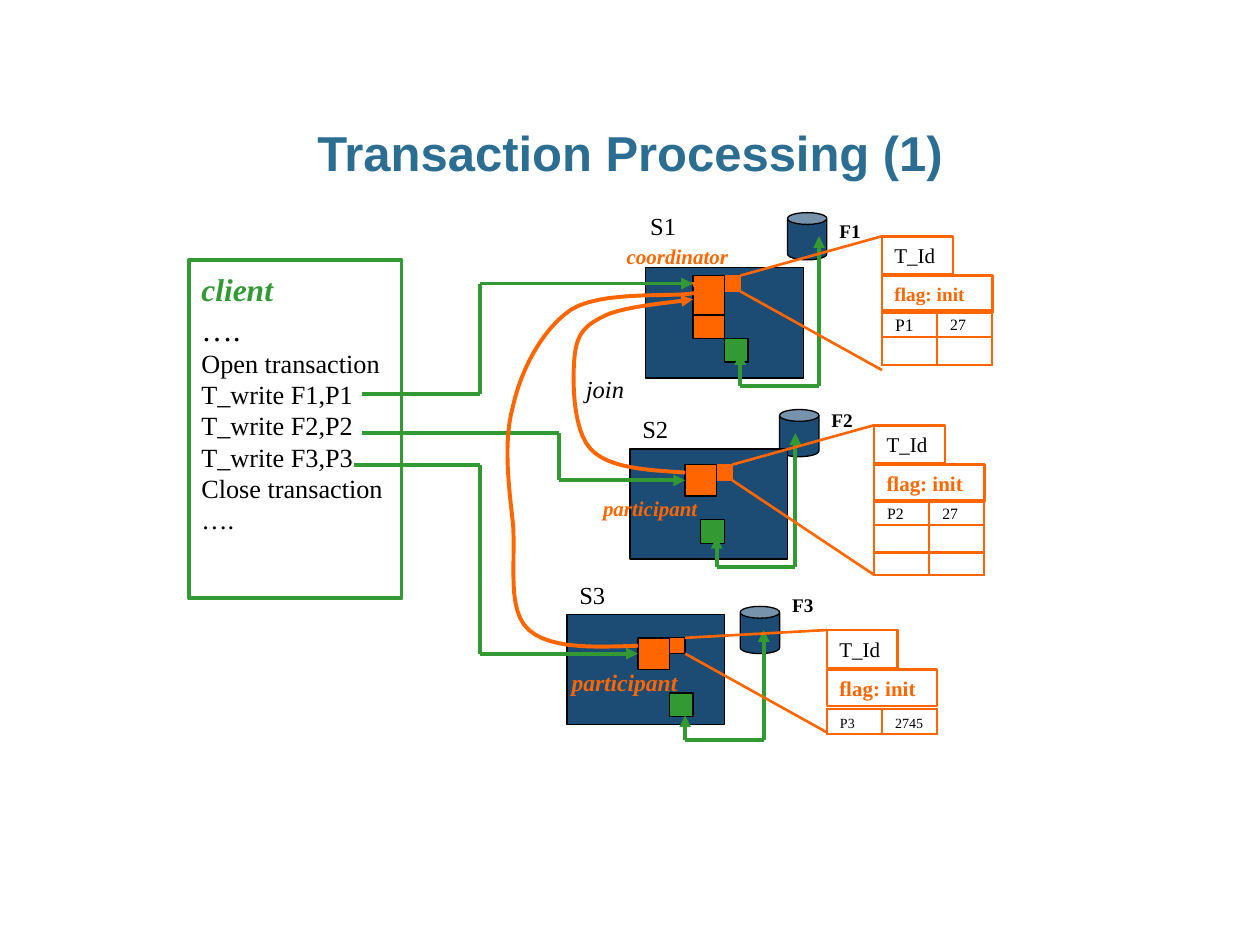
from dataclasses import dataclass

import lxml.etree
import pptx
import pptx.dml.color
import pptx.enum.shapes
import pptx.enum.text
import pptx.oxml.ns
import pptx.util

EMU_PER_PX = 9525
ORANGE, GREEN, NAVY, BLACK = "FF6600", "339933", "1C4C74", "000000"
SHAPES = pptx.enum.shapes.MSO_SHAPE
ANCHORS = pptx.enum.text.MSO_ANCHOR
ALIGNS = pptx.enum.text.PP_ALIGN


@dataclass
class Server:
    name: str
    file: str
    role: str
    box: tuple
    name_at: tuple
    role_at: tuple
    role_size: float
    disk_at: tuple
    file_drop: int
    task: tuple
    store_at: tuple
    link_drop: int
    request: list
    record_at: tuple
    zoom_drop: int
    flag_size: int
    grid_drop: int
    row_heights: list
    values: list


SERVERS = [
    Server("S1", "F1", "coordinator", (492, 204, 120, 84), (-6, -48), (-24, -23), 12,
           (108, -42), 0, (36, 6, 24, 30), (60, 54), 11,
           [(276, 300), (366, 300), (366, 216), (528, 216)],
           (180, -24), 102, 11, 56, [21, 21], [("P1", 10), ("27", 9)]),
    Server("S2", "F2", "participant", (480, 342, 120, 84), (0, -31), (-30, 31), 12,
           (114, -30), -6, (42, 12, 24, 24), (54, 54), 13,
           [(276, 330), (426, 330), (426, 366), (522, 366)],
           (186, -18), 114, 12, 57, [19, 21, 17], [("P2", 9), ("27", 9)]),
    Server("S3", "F3", "participant", (432, 468, 120, 84), (0, -31), (-6, 36), 13.5,
           (132, -6), -15, (54, 18, 24, 24), (78, 60), 17,
           [(270, 354), (366, 354), (366, 498), (486, 498)],
           (198, 12), 78, 12, 60, [19], [("P3", 8), ("2745", 8)]),
]

JOIN_CURVES = [
    [(522, 360), (493, 358), (464, 357), (450, 342), (436, 327), (436, 287), (438, 270),
     (440, 253), (447, 247), (462, 240), (477, 233), (517, 230), (528, 228)],
    [(486, 492), (456, 493), (420, 495), (403, 480), (386, 465), (393, 429), (391, 400),
     (388, 372), (383, 337), (391, 309), (397, 282), (413, 251), (435, 236),
     (457, 222), (508, 226), (524, 224), (540, 222), (536, 223), (531, 224)],
]


def px(length):
    return pptx.util.Emu(round(length * EMU_PER_PX))


def color(value):
    return pptx.dml.color.RGBColor.from_string(value)


def element(parent, tag, **attributes):
    return lxml.etree.SubElement(parent, pptx.oxml.ns.qn(tag), **attributes)


def shifted(origin, offset):
    return origin[0] + offset[0], origin[1] + offset[1]


def write(frame, text, size=12, fill=BLACK, bold=False, italic=False,
          font="Times New Roman", align=ALIGNS.LEFT, spacing=None, before=None):
    para = frame.paragraphs[0]
    if para.runs:
        para = frame.add_paragraph()
    para.alignment = align
    para.line_spacing = spacing
    if before:
        para.space_before = pptx.util.Pt(before)
    span = para.add_run()
    span.text = text
    span.font.name, span.font.size = font, pptx.util.Pt(size)
    span.font.bold, span.font.italic = bold, italic
    span.font.color.rgb = color(fill)


def add_label(page, box, text, wrap=True, **style):
    frame = page.shapes.add_textbox(*map(px, box)).text_frame
    frame.word_wrap = wrap
    write(frame, text, **style)
    return frame


def add_block(page, box, fill=None, line=BLACK, width=0.75, kind=SHAPES.RECTANGLE):
    block = page.shapes.add_shape(kind, *map(px, box))
    block.shadow.inherit = False
    if fill:
        block.fill.solid()
        block.fill.fore_color.rgb = color(fill)
    else:
        block.fill.background()
    block.line.color.rgb = color(line)
    block.line.width = pptx.util.Pt(width)
    return block


def add_route(page, points, line, width, head=False, tail=False):
    parts = []
    for start, end in zip(points, points[1:]):
        part = page.shapes.add_connector(
            pptx.enum.shapes.MSO_CONNECTOR.STRAIGHT, *map(px, start + end))
        part.line.color.rgb = color(line)
        part.line.width = pptx.util.Pt(width)
        element(part._element.spPr, "a:effectLst")
        parts.append(part)
    if head:
        element(parts[0].line._get_or_add_ln(), "a:headEnd", type="triangle")
    if tail:
        element(parts[-1].line._get_or_add_ln(), "a:tailEnd", type="triangle")
    return parts


def add_curve(page, points, steps=12):
    start, *rest = points
    builder = page.shapes.build_freeform(*map(px, start), scale=1.0)
    vertices = []
    for first in range(0, len(rest), 3):
        corners = [start, *rest[first:first + 3]]
        for step in range(1, steps + 1):
            t = step / steps
            weights = ((1 - t) ** 3, 3 * t * (1 - t) ** 2, 3 * t * t * (1 - t), t ** 3)
            vertices.append(tuple(
                px(sum(w * c[axis] for w, c in zip(weights, corners))) for axis in (0, 1)))
        start = corners[-1]
    builder.add_line_segments(vertices, close=False)
    curve = builder.convert_to_shape()
    curve.shadow.inherit = False
    curve.fill.background()
    curve.line.color.rgb = color(ORANGE)
    curve.line.width = pptx.util.Pt(2.25)
    element(curve.line._get_or_add_ln(), "a:tailEnd", type="triangle")


def style_cell(cell):
    properties = cell._tc.get_or_add_tcPr()
    for side in ("a:lnL", "a:lnR", "a:lnT", "a:lnB"):
        border = element(properties, side, w=str(pptx.util.Pt(1.5)))
        element(element(border, "a:solidFill"), "a:srgbClr", val=ORANGE)
    cell.fill.background()
    cell.margin_left, cell.margin_right = px(10), px(2)
    cell.margin_top, cell.margin_bottom = px(3), 0
    cell.vertical_anchor = ANCHORS.MIDDLE


def add_record(page, origin, server):
    left, top = origin
    identifier = add_block(page, (left, top, 54, 29), line=ORANGE, width=1.5)
    write(identifier.text_frame, "T_Id")
    flag = add_block(page, (left, top + 30, 84, 28), line=ORANGE, width=1.5)
    write(flag.text_frame, "flag: init", size=server.flag_size, fill=ORANGE, bold=True)
    heights = server.row_heights
    grid = page.shapes.add_table(
        len(heights), 2, *map(px, (left, top + server.grid_drop, 84, sum(heights)))).table
    grid.first_row = grid.horz_banding = False
    for row, height in zip(grid.rows, heights):
        row.height = px(height)
        for cell in row.cells:
            style_cell(cell)
    for cell, (text, size) in zip(grid.rows[0].cells, server.values):
        write(cell.text_frame, text, size=size)
    for row in list(grid.rows)[1:]:
        for cell in row.cells:
            element(cell.text_frame.paragraphs[0]._p, "a:endParaRPr", sz="800")


def add_server(page, server):
    origin = server.box[:2]
    disk = shifted(origin, server.disk_at)
    can = add_block(page, disk + (30, 36), fill=NAVY, kind=SHAPES.CAN)
    can.adjustments[0] = 0.3
    add_label(page, shifted(disk, (30, server.file_drop)) + (36, 28),
              server.file, size=11, bold=True)
    add_block(page, server.box, fill=NAVY)
    add_label(page, shifted(origin, server.name_at) + (39, 33),
              server.name, size=14, wrap=False)

    x, y = shifted(origin, server.store_at)
    add_block(page, (x, y, 18, 18), fill=GREEN)
    add_route(page, [(x + 12, y + server.link_drop), (x + 12, y + 36),
                     (x + 72, y + 36), (x + 72, disk[1] + 18)],
              GREEN, 2.25, head=True, tail=True)

    x, y = shifted(origin, server.task)
    width, height = server.task[2:]
    coordinates = server.role == "coordinator"
    add_block(page, (x + width, y, 12, 12), fill=ORANGE,
              line=BLACK if server.name == "S3" else ORANGE)
    task = add_block(page, (x, y, width, height), fill=ORANGE)
    if coordinates:
        add_block(page, (x, y + height, width, 18), fill=ORANGE)
    request = add_route(page, server.request, GREEN, 2.25, tail=True)
    if not coordinates:
        request[-1].end_connect(task, 1)

    record = shifted(origin, server.record_at)
    add_record(page, record, server)
    for start_drop, end_drop in ((0, 0), (12, server.zoom_drop)):
        add_route(page, [(x + width + 12, y + start_drop),
                         shifted(record, (0, end_drop))], ORANGE, 1.5)
    add_label(page, shifted(origin, server.role_at) + (102, 29), server.role,
              size=server.role_size, fill=ORANGE, bold=True, italic=True)


def add_client(page, box):
    frame = add_block(page, box, line=GREEN, width=2.25).text_frame
    frame.word_wrap = True
    frame.vertical_anchor = ANCHORS.TOP
    frame.margin_top = px(8)
    write(frame, "client", size=18, fill=GREEN, bold=True, italic=True)
    write(frame, "….", size=18, spacing=0.55, before=9.5)
    for text in ("Open transaction", "T_write F1,P1", "T_write F2,P2",
                 "T_write F3,P3", "Close transaction", "…."):
        write(frame, text, size=15, spacing=0.55, before=8)


def main():
    deck = pptx.Presentation()
    deck.slide_width, deck.slide_height = px(960), px(720)
    page = deck.slides.add_slide(deck.slide_layouts[6])
    add_label(page, (120, 92, 720, 66), "Transaction Processing (1)", size=28,
              fill="2C6D92", bold=True, font="Arial", align=ALIGNS.CENTER, spacing=0.95)
    add_client(page, (144, 198, 162, 258))
    for server in SERVERS:
        add_server(page, server)
    add_label(page, (437, 280, 61, 33), "join", size=14, italic=True)
    for points in JOIN_CURVES:
        add_curve(page, points)
    deck.save("out.pptx")


if __name__ == "__main__":
    main()
